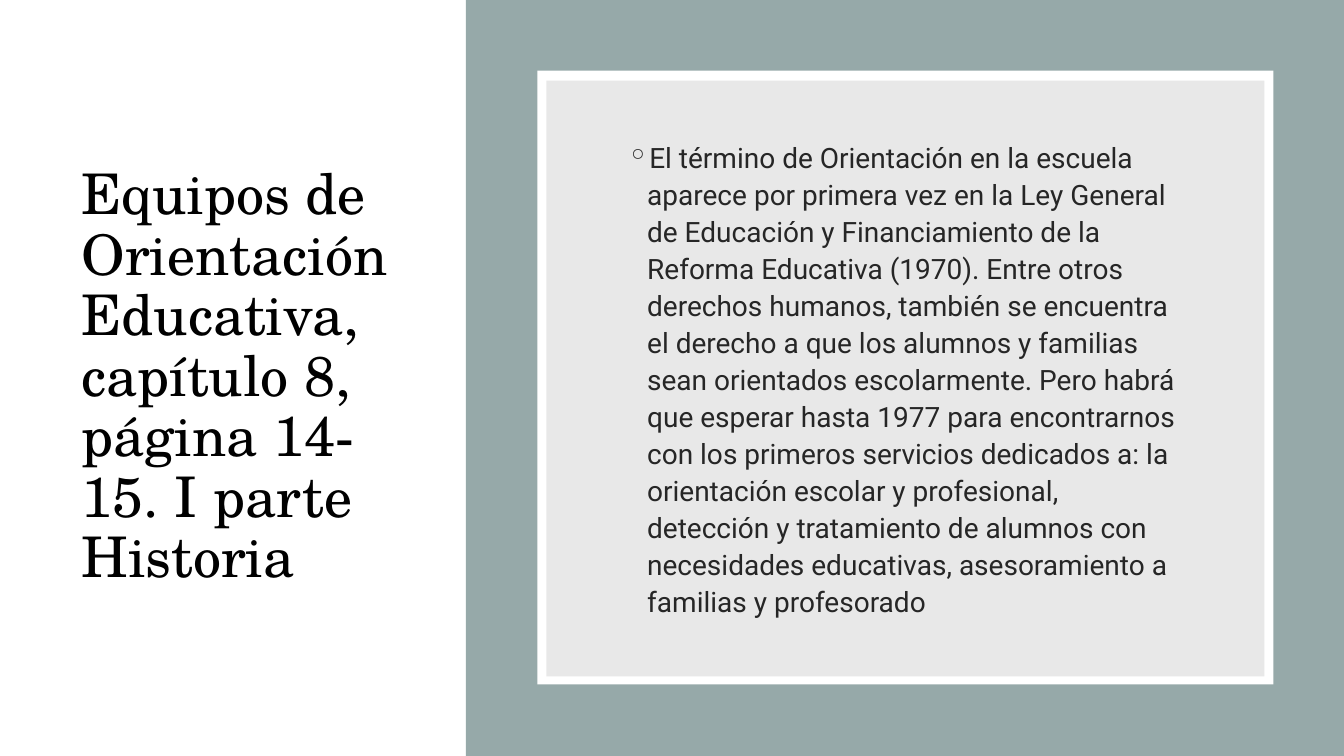
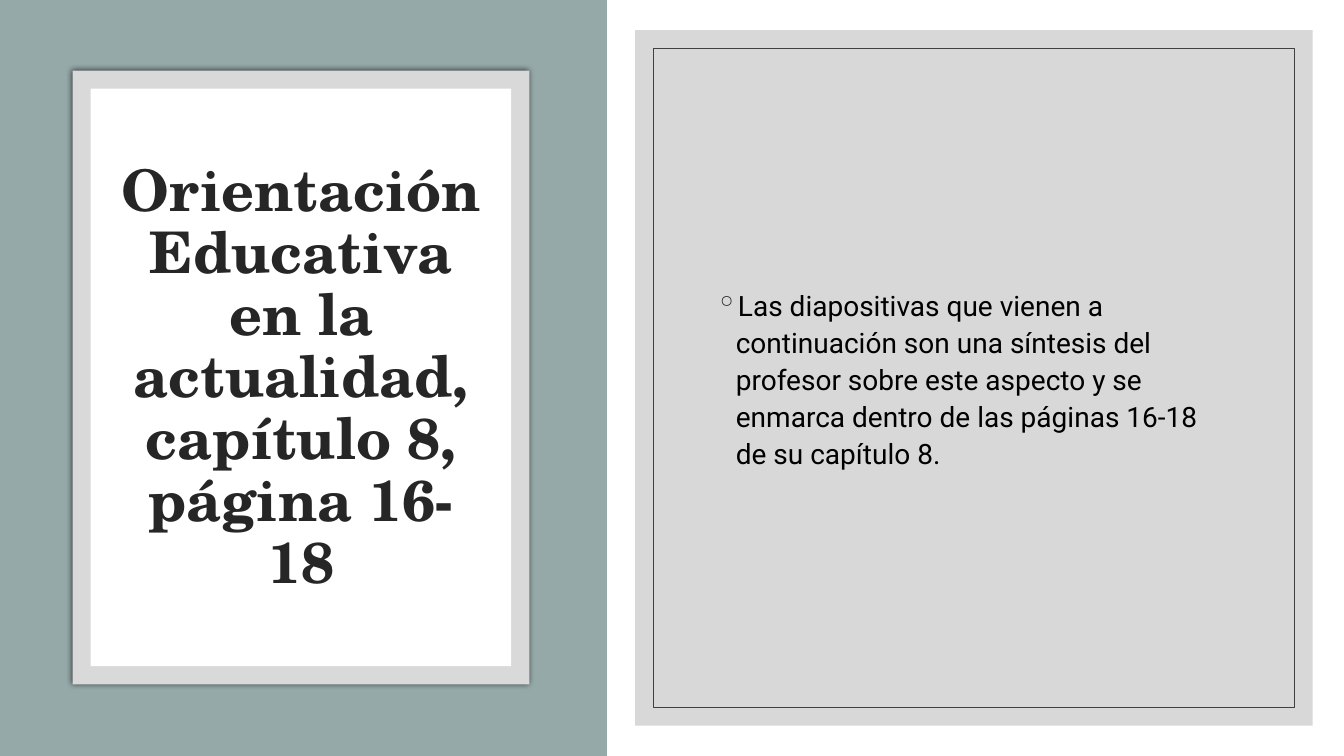
from lxml.etree import SubElement as Sub
from pptx import Presentation
from pptx.dml.color import RGBColor
from pptx.enum.shapes import MSO_SHAPE as Shape
from pptx.enum.text import MSO_ANCHOR as Anchor, PP_ALIGN as Align
from pptx.oxml.ns import qn
from pptx.util import Inches, Pt

WHITE = RGBColor(0xFF, 0xFF, 0xFF)
BLACK = RGBColor(0x00, 0x00, 0x00)
INK = RGBColor(0x26, 0x26, 0x26)
SAGE = RGBColor(0x96, 0xA9, 0xA9)
PALE = RGBColor(0xD9, 0xD9, 0xD9)
GREY = RGBColor(0xBF, 0xBF, 0xBF)
DARK = RGBColor(0x40, 0x40, 0x40)

HEAD = {
    "font": {"name": "TeX Gyre Schola"},
    "para": {"line_spacing": 0.9},
}
BODY = {
    "font": {"name": "Roboto", "size": Pt(20)},
    "para": {"line_spacing": 1.1, "space_before": Pt(9)},
}


def add_panel(slide, box, fill=None, alpha=None, line=None, glow=False):
    """Add a rectangle; alpha is the opacity in percent, glow a soft dark edge."""
    panel = slide.shapes.add_shape(Shape.RECTANGLE, *map(Inches, box))
    panel.shadow.inherit = False
    props = panel._element.spPr
    if fill is None:
        panel.fill.background()
    else:
        panel.fill.solid()
        panel.fill.fore_color.rgb = fill
    if alpha:
        Sub(props.find(".//" + qn("a:srgbClr")), qn("a:alpha"), val=str(alpha * 1000))
    if line is None:
        panel.line.fill.background()
    else:
        panel.line.color.rgb = line
        panel.line.width = Pt(0.5)
    if glow:
        shade = Sub(props.find(qn("a:effectLst")), qn("a:outerShdw"),
                    blurRad=str(Pt(4)), dist="0", dir="0", algn="ctr", rotWithShape="0")
        tone = Sub(shade, qn("a:srgbClr"), val=str(BLACK))
        Sub(tone, qn("a:alpha"), val="66000")


def add_text(slide, box, text, style, font, para=None, bullet=False):
    """Add a middle-anchored paragraph; font and para extend the style."""
    frame = slide.shapes.add_textbox(*map(Inches, box)).text_frame
    frame.word_wrap = True
    frame.vertical_anchor = Anchor.MIDDLE
    line = frame.paragraphs[0]
    run = line.add_run()
    run.text = text
    for target, values in (
        (line, style["para"] | (para or {})),
        (run.font, style["font"] | font),
    ):
        for key, value in values.items():
            if key == "color":
                target.color.rgb = value
            else:
                setattr(target, key, value)
    if bullet:
        props = line._p.get_or_add_pPr()
        props.set("marL", str(Inches(0.2)))
        props.set("indent", str(Inches(-0.2)))
        Sub(Sub(props, qn("a:buClr")), qn("a:srgbClr"), val=str(INK))
        Sub(props, qn("a:buChar"), char="◦")


deck = Presentation()
deck.slide_width = Inches(13.33)
deck.slide_height = Inches(7.5)
blank = deck.slide_layouts[6]

# History
slide = deck.slides.add_slide(blank)
add_text(
    slide, (0.71, 1.28, 3.58, 4.94),
    "Equipos de Orientación Educativa, capítulo 8, página 14-15. I parte Historia",
    HEAD, {"size": Pt(40), "color": BLACK},
)
add_panel(slide, (4.62, 0, 8.71, 7.5), SAGE)
add_panel(slide, (5.33, 0.7, 7.3, 6.09), WHITE)
add_panel(slide, (5.42, 0.8, 7.12, 5.91), PALE, alpha=60)
add_text(
    slide, (6.12, 1.49, 5.71, 4.51),
    "El término de Orientación en la escuela aparece por primera vez en la Ley "
    "General de Educación y Financiamiento de la Reforma Educativa (1970). Entre "
    "otros derechos humanos, también se encuentra el derecho a que los alumnos y "
    "familias sean orientados escolarmente. Pero habrá que esperar hasta 1977 para "
    "encontrarnos con los primeros servicios dedicados a: la orientación escolar y "
    "profesional, detección y tratamiento de alumnos con necesidades educativas, "
    "asesoramiento a familias y profesorado",
    BODY, {"color": INK}, bullet=True,
)

# Present day
slide = deck.slides.add_slide(blank)
add_panel(slide, (0, 0, 6.02, 7.5), SAGE)
add_panel(slide, (0.72, 0.7, 4.53, 6.09), PALE, glow=True)
add_panel(slide, (0.9, 0.88, 4.17, 5.73), WHITE)
add_text(
    slide, (1.08, 1.3, 3.82, 4.91),
    "Orientación Educativa en la actualidad, capítulo 8, página 16-18",
    HEAD, {"size": Pt(41), "bold": True, "color": INK}, {"alignment": Align.CENTER},
)
add_panel(slide, (6.3, 0.3, 6.72, 6.9), GREY, alpha=60)
add_panel(slide, (6.48, 0.48, 6.36, 6.54), line=DARK)
add_text(
    slide, (7, 1.02, 5.33, 5.45),
    "Las diapositivas que vienen a continuación son una síntesis del profesor sobre "
    "este aspecto y se enmarca dentro de las páginas 16-18 de su capítulo 8.",
    BODY, {"color": BLACK}, bullet=True,
)

deck.save("out.pptx")
